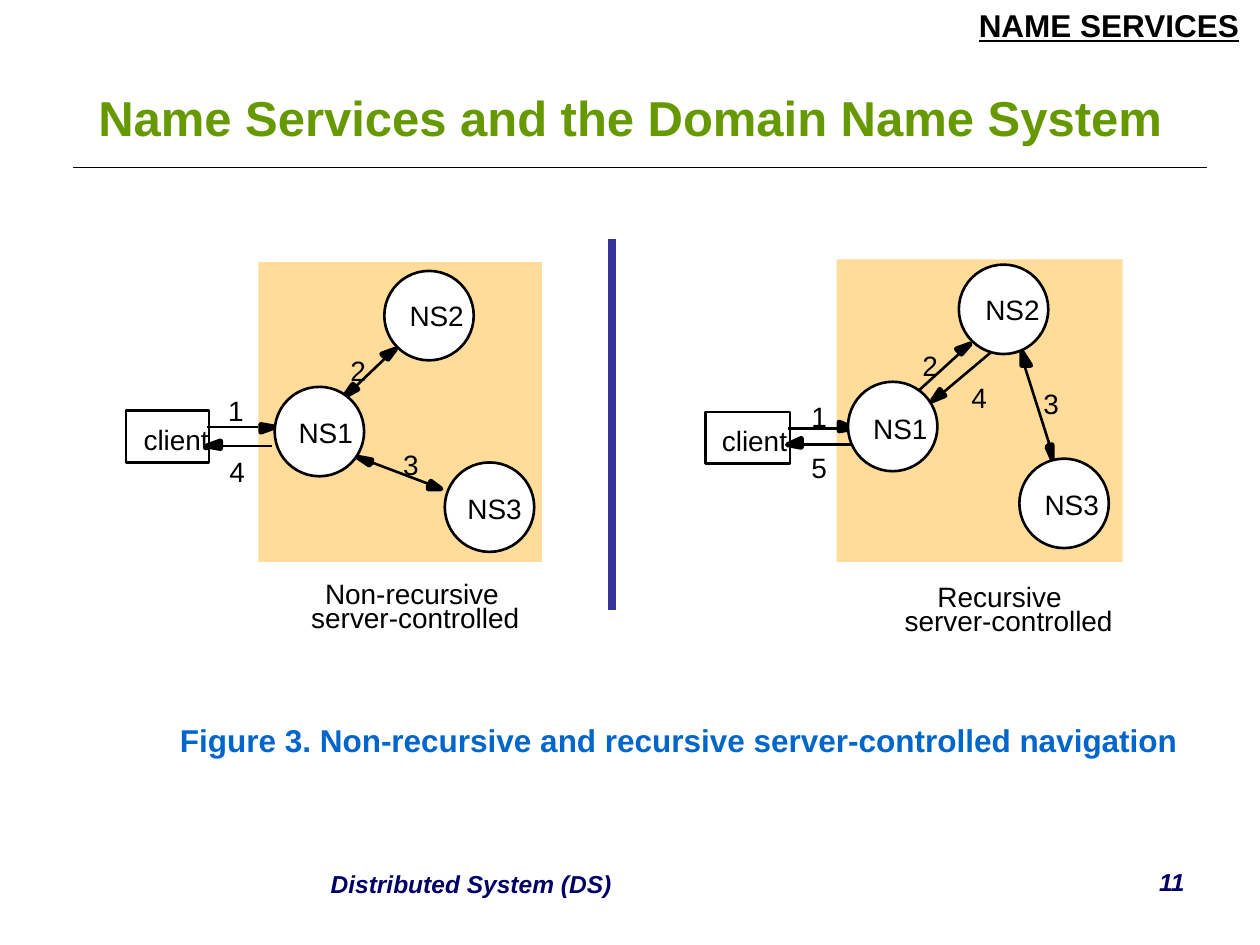
from lxml import etree
from pptx import Presentation
from pptx.dml.color import RGBColor
from pptx.enum.shapes import MSO_CONNECTOR, MSO_SHAPE
from pptx.enum.text import MSO_ANCHOR, MSO_AUTO_SIZE, PP_ALIGN
from pptx.oxml import parse_xml
from pptx.oxml.ns import nsdecls, qn
from pptx.util import Inches, Pt

BLACK = RGBColor(0x00, 0x00, 0x00)
WHITE = RGBColor(0xFF, 0xFF, 0xFF)
GREEN = RGBColor(0x66, 0x99, 0x00)
NAVY = RGBColor(0x00, 0x00, 0x66)
BLUE = RGBColor(0x00, 0x66, 0xCC)
INDIGO = RGBColor(0x33, 0x33, 0x99)
PEACH = RGBColor(0xFF, 0xDC, 0x99)
RECTANGLE, OVAL = MSO_SHAPE.RECTANGLE, MSO_SHAPE.OVAL
STRAIGHT = MSO_CONNECTOR.STRAIGHT
LEFT, CENTER, RIGHT = PP_ALIGN.LEFT, PP_ALIGN.CENTER, PP_ALIGN.RIGHT
MIDDLE = MSO_ANCHOR.MIDDLE
FIT_SHAPE = MSO_AUTO_SIZE.SHAPE_TO_FIT_TEXT


def add_label(shapes, text, box, size=16, color=BLACK, align=LEFT, margins=(0, 0), wrap=False):
    label = shapes.add_textbox(*map(Inches, box))
    frame = label.text_frame
    frame.word_wrap = wrap
    if not wrap:
        frame.auto_size = FIT_SHAPE
    frame.margin_left = frame.margin_right = Inches(margins[0])
    frame.margin_top = frame.margin_bottom = Inches(margins[1])
    frame.paragraphs[0].alignment = align
    run = frame.paragraphs[0].add_run()
    run.text = text
    run.font.name = "Arial"
    run.font.size = Pt(size)
    run.font.color.rgb = color
    return frame, run.font


def add_line(shapes, ends, color=BLACK, width=1.5):
    line = shapes.add_connector(STRAIGHT, *map(Inches, ends))
    line.line.color.rgb = color
    line.line.width = Pt(width)
    etree.SubElement(line._element.spPr, qn("a:effectLst"))


prs = Presentation()
prs.slide_width, prs.slide_height = Inches(10), Inches(7.5)
slide = prs.slides.add_slide(prs.slide_layouts[6])
shapes = slide.shapes

padded = {"margins": (0.1, 0.05), "wrap": True}
_, header_font = add_label(shapes, "NAME SERVICES", (7.67, 0, 2.33, 0.4), 18, **padded)
header_font.bold = header_font.underline = True
_, number_font = add_label(shapes, "11", (7.17, 6.83, 2.33, 0.52), 14, NAVY, RIGHT, **padded)
number_font.bold = number_font.italic = True
title, title_font = add_label(shapes, "Name Services and the Domain Name System",
                              (0.5, 0.64, 9, 0.57), 28, GREEN, CENTER, **padded)
title.vertical_anchor = MIDDLE
title_font.bold = True

table = shapes.add_table(1, 1, Inches(0.58), Inches(1.33), Inches(9), Inches(2.18)).table
table.first_row = table.horz_banding = False
cell = table.cell(0, 0)
cell.fill.background()
borders = {
    "lnL": "<a:noFill/>",
    "lnR": "<a:noFill/>",
    "lnT": '<a:solidFill><a:srgbClr val="000000"/></a:solidFill>',
    "lnB": "<a:noFill/>",
}
for position, (side, paint) in enumerate(borders.items()):
    border = parse_xml(f'<a:{side} {nsdecls("a")} w="{Pt(1.08)}">{paint}</a:{side}>')
    cell._tc.get_or_add_tcPr().insert(position, border)

recursive = {
    "domain": (6.64, 2.06, 2.27, 2.4),
    "client": (5.6, 3.27, 0.67, 0.41),
    "servers": [(7.61, 2.1), (6.73, 3.03), (8.09, 3.64)],
    "lines": [
        (6.64, 3.4, 6.25, 3.4),
        (7.61, 2.81, 7.27, 3.12),
        (8.33, 3.53, 8.13, 2.9),
        (6.77, 3.53, 6.36, 3.53),
        (7.48, 3.12, 7.92, 2.75),
    ],
    "heads": [
        [(6.66, 3.4), (6.66, 3.35), (6.77, 3.4), (6.66, 3.42)],
        [(7.61, 2.79), (7.59, 2.77), (7.7, 2.73), (7.63, 2.81)],
        [(8.33, 3.53), (8.35, 3.53), (8.35, 3.64), (8.31, 3.55)],
        [(8.13, 2.9), (8.11, 2.9), (8.11, 2.79), (8.18, 2.9)],
        [(6.36, 3.53), (6.36, 3.55), (6.25, 3.53), (6.36, 3.48)],
        [(7.48, 3.12), (7.5, 3.14), (7.4, 3.18), (7.46, 3.09)],
    ],
    "labels": [
        ("Recursive", 7.44, 4.6, 0.99), ("server-controlled", 7.18, 4.79, 1.68),
        ("1", 6.44, 3.17, 0.12), ("2", 7.32, 2.77, 0.12), ("3", 8.28, 3.07, 0.12),
        ("5", 6.44, 3.58, 0.12), ("4", 7.71, 3.02, 0.12), ("client", 5.73, 3.36, 0.53),
        ("NS2", 7.82, 2.32, 0.45), ("NS1", 6.93, 3.27, 0.45), ("NS3", 8.29, 3.87, 0.45),
    ],
}
non_recursive = {
    "domain": (2.05, 2.08, 2.25, 2.38),
    "client": (1, 3.26, 0.66, 0.41),
    "servers": [(3.05, 2.15), (2.18, 3.07), (3.53, 3.67)],
    "lines": [
        (2.05, 3.39, 1.64, 3.39),
        (3.05, 2.85, 2.82, 3.07),
        (2.95, 3.67, 3.4, 3.84),
        (2.16, 3.54, 1.75, 3.54),
    ],
    "heads": [
        [(2.07, 3.39), (2.07, 3.37), (2.18, 3.39), (2.07, 3.43)],
        [(3.05, 2.83), (3.03, 2.81), (3.14, 2.77), (3.08, 2.85)],
        [(2.82, 3.07), (2.84, 3.09), (2.73, 3.15), (2.8, 3.05)],
        [(2.95, 3.67), (2.93, 3.69), (2.84, 3.63), (2.95, 3.65)],
        [(3.4, 3.86), (3.42, 3.82), (3.5, 3.88), (3.4, 3.88)],
        [(1.75, 3.54), (1.75, 3.56), (1.64, 3.54), (1.75, 3.5)],
    ],
    "labels": [
        ("1", 1.81, 3.12, 0.12), ("2", 2.78, 2.81, 0.12), ("3", 3.2, 3.55, 0.12),
        ("4", 1.82, 3.61, 0.12), ("client", 1.14, 3.35, 0.53),
        ("NS2", 3.25, 2.37, 0.45), ("NS1", 2.37, 3.3, 0.45), ("NS3", 3.71, 3.9, 0.45),
        ("Non-recursive", 2.58, 4.58, 1.4), ("server-controlled", 2.47, 4.77, 1.68),
    ],
}

for scheme in (recursive, non_recursive):
    diagram = shapes.add_group_shape().shapes
    domain = diagram.add_shape(RECTANGLE, *map(Inches, scheme["domain"]))
    domain.shadow.inherit = False
    domain.fill.solid()
    domain.fill.fore_color.rgb = PEACH
    domain.line.fill.background()

    for ends in scheme["lines"]:
        add_line(diagram, ends)
    for outline in scheme["heads"]:
        start, *corners = [(Inches(x), Inches(y)) for x, y in outline]
        builder = diagram.build_freeform(*start)
        builder.add_line_segments(corners, close=True)
        head = builder.convert_to_shape()
        head.shadow.inherit = False
        head.fill.solid()
        head.fill.fore_color.rgb = BLACK
        head.line.color.rgb = BLACK
        head.line.width = Pt(2.86)

    client = diagram.add_shape(RECTANGLE, *map(Inches, scheme["client"]))
    client.fill.background()
    nodes = [client]
    for x, y in scheme["servers"]:
        server = diagram.add_shape(OVAL, Inches(x), Inches(y), Inches(0.71), Inches(0.71))
        server.fill.solid()
        server.fill.fore_color.rgb = WHITE
        nodes.append(server)
    for node in nodes:
        node.shadow.inherit = False
        node.line.color.rgb = BLACK
        node.line.width = Pt(1.5)

    for text, x, y, width in scheme["labels"]:
        add_label(diagram, text, (x, y, width, 0.27))

add_line(shapes, (4.86, 1.9, 4.86, 4.84), INDIGO, 4.5)
_, caption_font = add_label(shapes, "Figure 3. Non-recursive and recursive server-controlled navigation",
                            (1.33, 5.67, 8.12, 0.4), 18, BLUE, margins=(0.1, 0.05))
caption_font.bold = True
_, footer_font = add_label(shapes, "Distributed System (DS)", (0.5, 6.85, 6.48, 0.52), 14, NAVY, CENTER, **padded)
footer_font.bold = footer_font.italic = True

prs.save("out.pptx")
